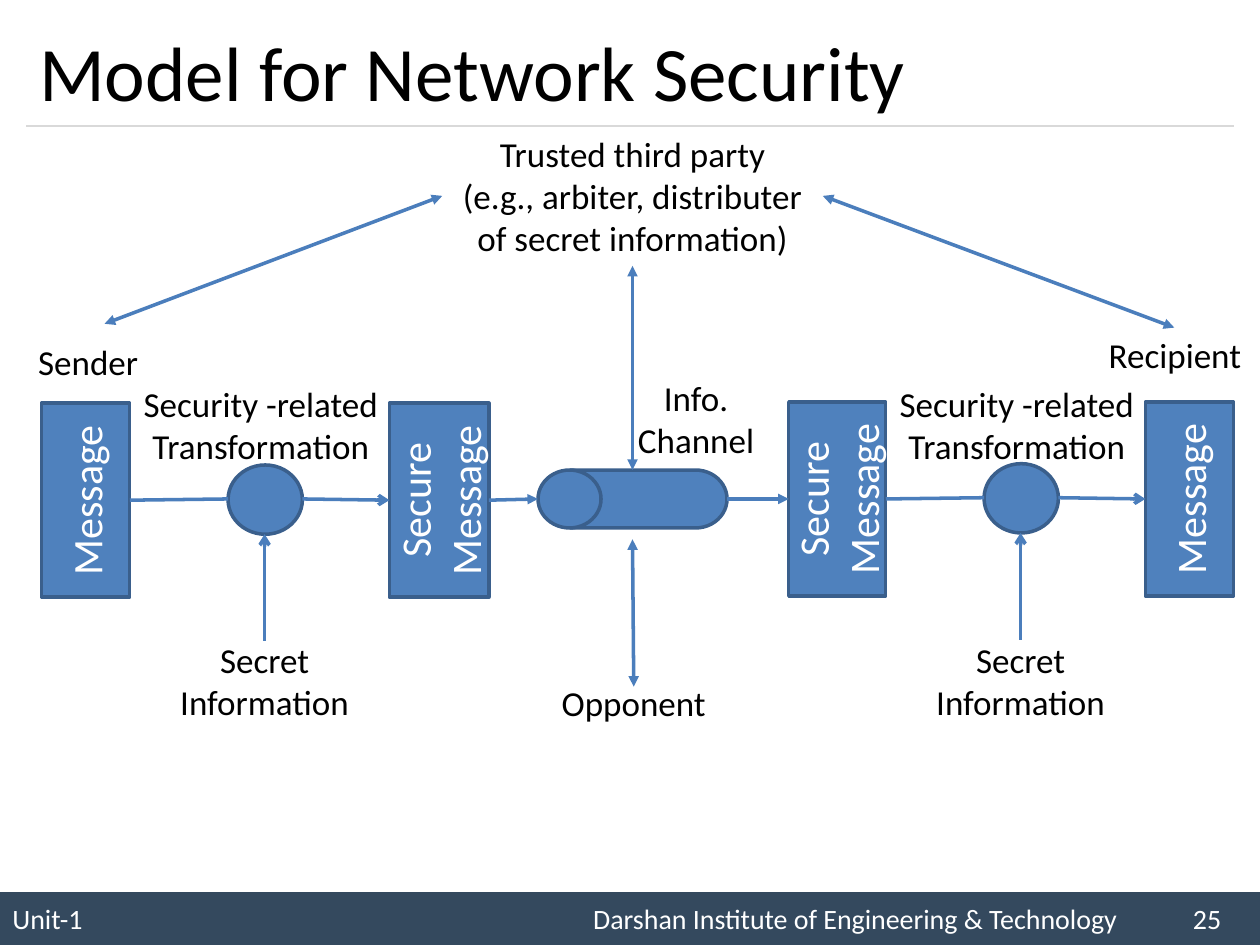
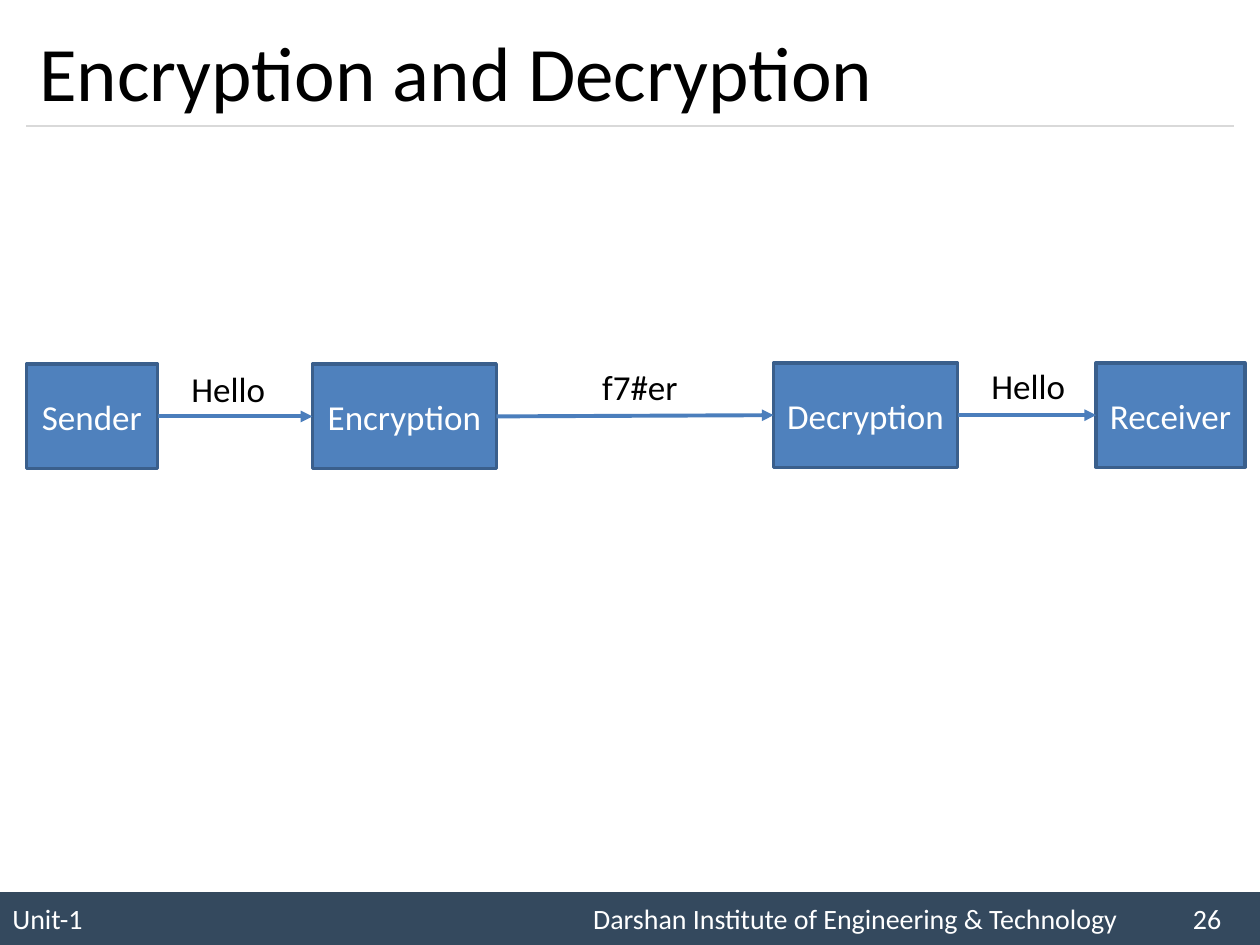
"""Build two lecture slides on network security and encryption."""
from dataclasses import dataclass

from lxml.etree import SubElement
from pptx import Presentation
from pptx.dml.color import RGBColor
from pptx.enum.shapes import MSO_CONNECTOR, MSO_SHAPE
from pptx.enum.text import MSO_ANCHOR, MSO_AUTO_SIZE, PP_ALIGN
from pptx.oxml.ns import qn
from pptx.util import Inches, Pt

TOP, LEFT, BOTTOM, RIGHT = range(4)


@dataclass(frozen=True)
class Theme:
    """Colours, font and type sizes shared by the slides."""
    font: str = "Calibri"
    text: str = "000000"
    light: str = "FFFFFF"
    band: str = "34495E"
    rule: str = "D9D9D9"
    fill: str = "4F81BD"
    outline: str = "3A5F8C"
    arrow: str = "4B7EBC"
    title_size: int = 44
    message_size: int = 24
    label_size: int = 20
    footer_size: int = 16


def format_text(frame, text, *, font, size, color, align=PP_ALIGN.CENTER,
                anchor=MSO_ANCHOR.TOP, tabs=()):
    """Fill a text frame, one paragraph per line, in a single format."""
    frame.word_wrap = True
    frame.vertical_anchor = anchor
    for index, line in enumerate(text.split("\n")):
        paragraph = frame.add_paragraph() if index else frame.paragraphs[0]
        paragraph.alignment = align
        if tabs:
            properties = paragraph._p.get_or_add_pPr()
            tab_list = SubElement(properties, qn("a:tabLst"))
            for position in tabs:
                SubElement(tab_list, qn("a:tab"), pos=str(Inches(position)), algn="l")
        run = paragraph.add_run()
        run.text = line
        run.font.name = font
        run.font.size = Pt(size)
        run.font.color.rgb = RGBColor.from_string(color)


class SlideBuilder:
    """Holds the theme and the current slide and draws each kind of element."""

    def __init__(self, presentation, theme):
        """Keep the presentation and the theme."""
        self.presentation = presentation
        self.theme = theme
        self.slide = None

    def put_text(self, frame, text, size, color, **options):
        """Set text in the theme font."""
        format_text(frame, text, font=self.theme.font, size=size, color=color, **options)

    def start(self, title, number):
        """Add a slide with its footer band, rule and title."""
        theme = self.theme
        layout = self.presentation.slide_layouts.get_by_name("Title Only")
        self.slide = self.presentation.slides.add_slide(layout)
        band = self.shape(MSO_SHAPE.RECTANGLE, 0, 7.08, 10, 0.42, fill=theme.band)
        footer = f"Unit-1\tDarshan Institute of Engineering & Technology\t{number}"
        self.put_text(band.text_frame, footer, theme.footer_size, theme.light,
                      align=PP_ALIGN.LEFT, anchor=MSO_ANCHOR.MIDDLE, tabs=(4.61, 9.37))
        self.line((0.21, 1), (9.79, 1), color=theme.rule, width=0.75)
        heading = self.slide.shapes.title
        heading.left, heading.top = Inches(0.21), Inches(0.12)
        heading.width, heading.height = Inches(9.58), Inches(0.88)
        heading.text_frame.auto_size = MSO_AUTO_SIZE.NONE
        self.put_text(heading.text_frame, title, theme.title_size, theme.text,
                      align=PP_ALIGN.LEFT, anchor=MSO_ANCHOR.MIDDLE)

    def shape(self, kind, left, top, width, height, fill=None, outline=None):
        """Add a flat preset shape."""
        shape = self.slide.shapes.add_shape(
            kind, Inches(left), Inches(top), Inches(width), Inches(height))
        shape.shadow.inherit = False
        shape.fill.solid()
        shape.fill.fore_color.rgb = RGBColor.from_string(fill or self.theme.fill)
        if outline:
            shape.line.color.rgb = RGBColor.from_string(outline)
            shape.line.width = Pt(2)
        else:
            shape.line.fill.background()
        return shape

    def node(self, kind, left, top, width, height):
        """Add a diagram shape without text."""
        return self.shape(kind, left, top, width, height, outline=self.theme.outline)

    def box(self, text, left, top, width, height, size=None, vertical=False):
        """Add a diagram rectangle with centred text."""
        box = self.node(MSO_SHAPE.RECTANGLE, left, top, width, height)
        self.put_text(box.text_frame, text, size or self.theme.label_size,
                      self.theme.light, anchor=MSO_ANCHOR.MIDDLE)
        if vertical:
            box.element.txBody.find(qn("a:bodyPr")).set("vert", "vert270")
        return box

    def message(self, text, left, top, width):
        """Add a tall box whose text reads upwards."""
        return self.box(text, left, top, width, 1.54, self.theme.message_size, vertical=True)

    def label(self, text, left, top, width, height=0.44, align=PP_ALIGN.CENTER):
        """Add a plain text label."""
        label = self.slide.shapes.add_textbox(
            Inches(left), Inches(top), Inches(width), Inches(height))
        label.text_frame.auto_size = MSO_AUTO_SIZE.SHAPE_TO_FIT_TEXT
        self.put_text(label.text_frame, text, self.theme.label_size, self.theme.text,
                      align=align)
        return label

    def line(self, begin, end, head=None, tail=None, color=None, width=2):
        """Join two ends, each a point or a shape with its side."""
        points = [(0, 0) if hasattr(first, "shape_id") else (first, second)
                  for first, second in (begin, end)]
        connector = self.slide.shapes.add_connector(
            MSO_CONNECTOR.STRAIGHT, *(Inches(value) for point in points for value in point))
        for (target, side), connect in ((begin, connector.begin_connect),
                                        (end, connector.end_connect)):
            if hasattr(target, "shape_id"):
                connect(target, side)
        connector.line.color.rgb = RGBColor.from_string(color or self.theme.arrow)
        connector.line.width = Pt(width)
        properties = connector.element.spPr
        outline = properties.find(qn("a:ln"))
        for tag, arrowhead in (("a:headEnd", head), ("a:tailEnd", tail)):
            if arrowhead:
                SubElement(outline, qn(tag), type=arrowhead)
        SubElement(properties, qn("a:effectLst"))

    def transformation(self, source, target, center, top):
        """Draw the transformation step between two message boxes."""
        middle = top + 0.27
        self.node(MSO_SHAPE.OVAL, center - 0.29, top, 0.59, 0.55)
        self.line((source, RIGHT), (center - 0.29, middle))
        self.line((center + 0.3, middle), (target, LEFT), tail="arrow")
        self.line((center, top + 0.55), (center, top + 1.4), head="arrow")
        self.label("Secret\nInformation", center - 0.77, 5.02, 1.54, 0.77)
        self.label("Security -related Transformation", center - 1.19, 2.99, 2.32, 0.77)


def draw_security_model(builder):
    """Draw the model for network security."""
    builder.start("Model for Network Security", 25)
    sent = builder.message("Message", 0.33, 3.2, 0.7)
    secured = builder.message("Secure\nMessage", 3.09, 3.2, 0.79)
    delivered = builder.message("Secure\nMessage", 6.26, 3.19, 0.77)
    received = builder.message("Message", 9.09, 3.19, 0.7)
    builder.transformation(sent, secured, 2.1, 3.69)
    builder.transformation(delivered, received, 8.1, 3.68)

    channel = builder.node(MSO_SHAPE.FLOWCHART_DIRECT_ACCESS_STORAGE, 4.27, 3.73, 1.5, 0.46)
    channel.rotation = 180
    builder.line((secured, RIGHT), (4.27, 3.96), tail="triangle")
    builder.line((5.77, 3.96), (delivered, LEFT), tail="triangle")

    builder.label("Sender", 0.2, 2.65, 1)
    builder.label("Recipient", 8.68, 2.6, 1.29)
    builder.label("Opponent", 4.33, 5.36, 1.4)
    builder.label("Info.\nChannel", 4.94, 2.94, 1.17, 0.77)
    third_party = builder.label(
        "Trusted third party\n(e.g., arbiter, distributer\nof secret information)",
        3.51, 1, 3.02, 1.11)
    for begin, end in (((0.83, 2.57), (third_party, LEFT)),
                       ((third_party, RIGHT), (9.32, 2.6)),
                       ((third_party, BOTTOM), (5.02, 3.73)),
                       ((5.02, 4.28), (5.03, 5.45))):
        builder.line(begin, end, head="triangle", tail="triangle")


def draw_encryption(builder):
    """Draw the path of a message through encryption and decryption."""
    builder.start("Encryption and Decryption", 26)
    steps = [builder.box(text, left, top, width, 0.83) for text, left, top, width in (
        ("Sender", 0.21, 2.89, 1.04), ("Encryption", 2.48, 2.89, 1.46),
        ("Decryption", 6.14, 2.88, 1.46), ("Receiver", 8.7, 2.88, 1.18))]
    for source, target in zip(steps, steps[1:]):
        builder.line((source, RIGHT), (target, LEFT), tail="triangle", width=2.25)
    for text, left, top, width in (("Hello", 1.42, 2.87, 0.8), ("f7#er", 4.68, 2.85, 0.82),
                                   ("Hello", 7.77, 2.84, 0.8)):
        builder.label(text, left, top, width, align=PP_ALIGN.LEFT)


def main():
    """Build and save the presentation."""
    presentation = Presentation()
    presentation.slide_width, presentation.slide_height = Inches(10), Inches(7.5)
    builder = SlideBuilder(presentation, Theme())
    draw_security_model(builder)
    draw_encryption(builder)
    presentation.save("out.pptx")


if __name__ == "__main__":
    main()
